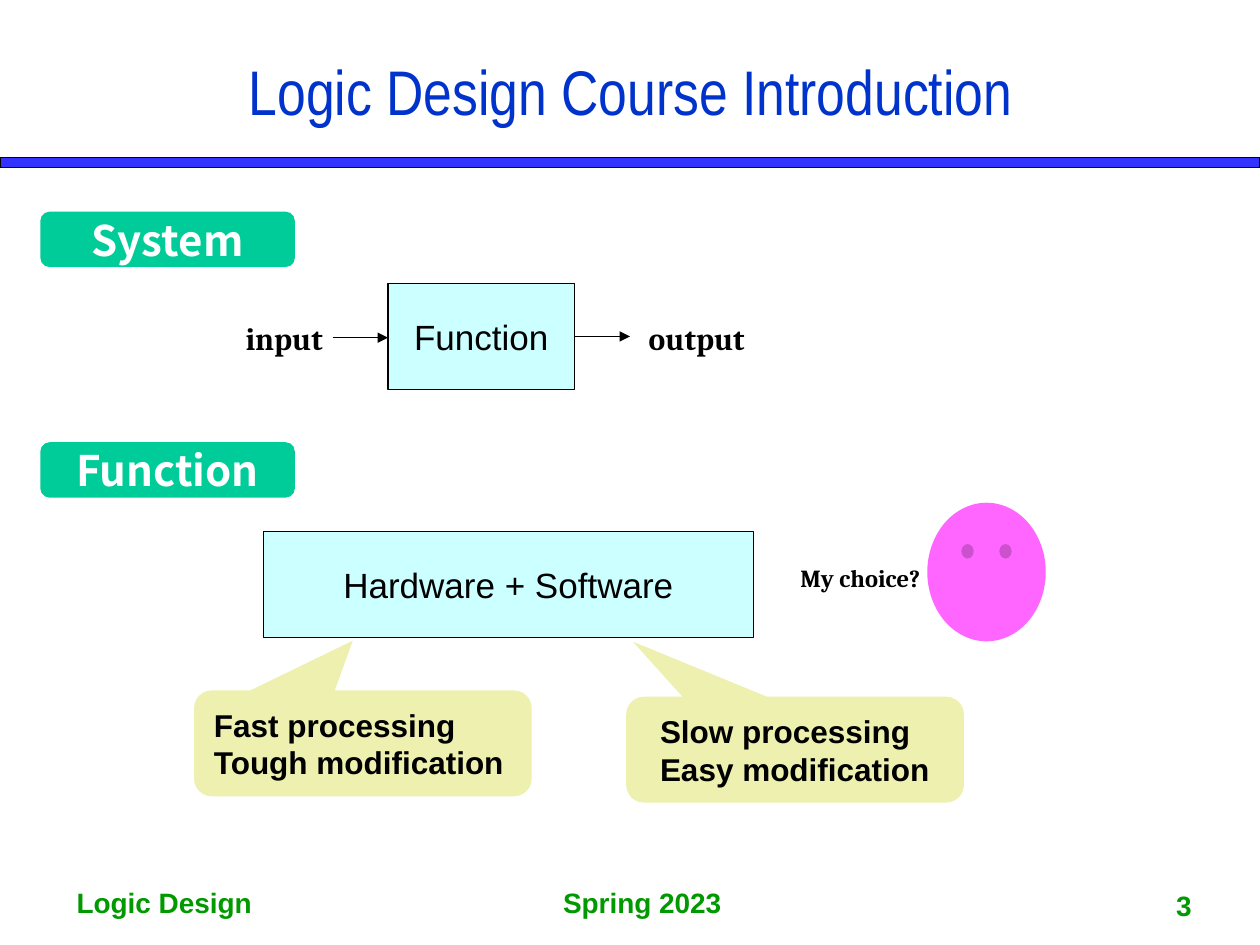
import pptx
import pptx.dml.color
import pptx.enum.shapes
import pptx.enum.text
import pptx.oxml.ns
import pptx.util
from lxml import etree
from pptx.util import Inches

SHAPE = pptx.enum.shapes.MSO_SHAPE
ALIGN = pptx.enum.text.PP_ALIGN
ANCHOR = pptx.enum.text.MSO_ANCHOR
COLORS = {
    "bar": "3333FF", "title": "0033CC", "footer": "009900",
    "heading": "00CC99", "block": "CCFFFF", "callout": "EDF0AE",
    "face": "FF66FF", "black": "000000", "white": "FFFFFF",
}


def rgb(name):
    return pptx.dml.color.RGBColor.from_string(COLORS[name])


def add_box(at, text="", size=18, font="Arial", color="black", bold=False,
            align=ALIGN.LEFT, anchor=ANCHOR.MIDDLE, wrap=True,
            kind=None, fill=None, outlined=False):
    """Add a preset shape, or a text box when no kind is given."""
    place = [Inches(length) for length in at]
    if kind is None:
        box = slide.shapes.add_textbox(*place)
    else:
        box = slide.shapes.add_shape(kind, *place)
        box.shadow.inherit = False
        if fill:
            box.fill.solid()
            box.fill.fore_color.rgb = rgb(fill)
        else:
            box.fill.background()
        if outlined:
            box.line.color.rgb = rgb("black")
            box.line.width = pptx.util.Pt(0.75)
        else:
            box.line.fill.background()
    frame = box.text_frame
    frame.word_wrap = wrap
    frame.vertical_anchor = anchor
    frame.text = text
    for paragraph in frame.paragraphs:
        paragraph.alignment = align
        for run in paragraph.runs:
            run.font.name = font
            run.font.size = pptx.util.Pt(size)
            run.font.bold = bold
            run.font.color.rgb = rgb(color)
    return box


presentation = pptx.Presentation()
presentation.slide_width = Inches(10)
presentation.slide_height = Inches(7.5)
slide = presentation.slides.add_slide(presentation.slide_layouts[6])

# Title, rule and footer
add_box((0, 1.25, 10, 0.08), kind=SHAPE.RECTANGLE, fill="bar", outlined=True)
add_box((0.42, 0.36, 9.17, 0.71), "Logic Design Course Introduction", 36,
        "Arial Narrow", "title", align=ALIGN.CENTER)
for left, width, footer in [(0.51, 1.65, "Logic Design"), (4.37, 1.49, "Spring 2023")]:
    add_box((left, 6.98, width, 0.37), footer, 16, color="footer", bold=True,
            anchor=ANCHOR.TOP, wrap=False)
add_box((9.02, 6.9, 0.75, 0.47), "3", 16, color="footer", bold=True,
        align=ALIGN.CENTER, anchor=ANCHOR.BOTTOM)

# Section headings
for top, heading in [(1.68, "System"), (3.51, "Function")]:
    add_box((0.32, top, 2.02, 0.44), heading, 24, "Noto Sans CJK KR", "white", True,
            ALIGN.CENTER, wrap=False, kind=SHAPE.ROUNDED_RECTANGLE, fill="heading")

# Blocks
for left, top, width, block in [(3.08, 2.25, 1.48, "Function"),
                                (2.09, 4.22, 3.89, "Hardware + Software")]:
    add_box((left, top, width, 0.84), block, 20, align=ALIGN.CENTER,
            kind=SHAPE.RECTANGLE, fill="block", outlined=True)

# Input and output with their arrows
for left, width, signal in [(1.85, 0.82, "input"), (5.05, 1.08, "output")]:
    add_box((left, 2.48, width, 0.4), signal, font="Cambria", bold=True,
            anchor=ANCHOR.TOP, wrap=False)
for start, y in [(2.64, 2.68), (4.56, 2.67)]:
    arrow = slide.shapes.add_connector(
        pptx.enum.shapes.MSO_CONNECTOR.STRAIGHT,
        Inches(start), Inches(y), Inches(start + 0.44), Inches(y))
    arrow.line.color.rgb = rgb("black")
    arrow.line.width = pptx.util.Pt(0.75)
    etree.SubElement(arrow.line._get_or_add_ln(),
                     pptx.oxml.ns.qn("a:tailEnd"), type="triangle")
    etree.SubElement(arrow._element.spPr, pptx.oxml.ns.qn("a:effectLst"))

# Callouts: the text sits in a box of its own over each balloon
for left, top, text_left, pointer, traits in [
    (1.54, 5.48, 1.6, (-0.03, -0.97), "Fast processing\nTough modification"),
    (4.97, 5.53, 5.14, (-0.48, -1.02), "Slow processing\nEasy modification"),
]:
    balloon = add_box((left, top, 2.68, 0.84),
                      kind=SHAPE.ROUNDED_RECTANGULAR_CALLOUT, fill="callout")
    balloon.adjustments[0], balloon.adjustments[1] = pointer
    add_box((text_left, top, 2.54, 0.84), traits, bold=True)

# Question
add_box((7.36, 3.99, 0.94, 1.1), kind=SHAPE.SMILEY_FACE, fill="face")
question = add_box((6.34, 4.46, 1.02, 0.26), "My choice?", 14, "Cambria", bold=True,
                   anchor=ANCHOR.TOP, kind=SHAPE.ROUNDED_RECTANGLE).text_frame
question.margin_left = question.margin_right = 0
question.margin_top = question.margin_bottom = 0

presentation.save("out.pptx")
